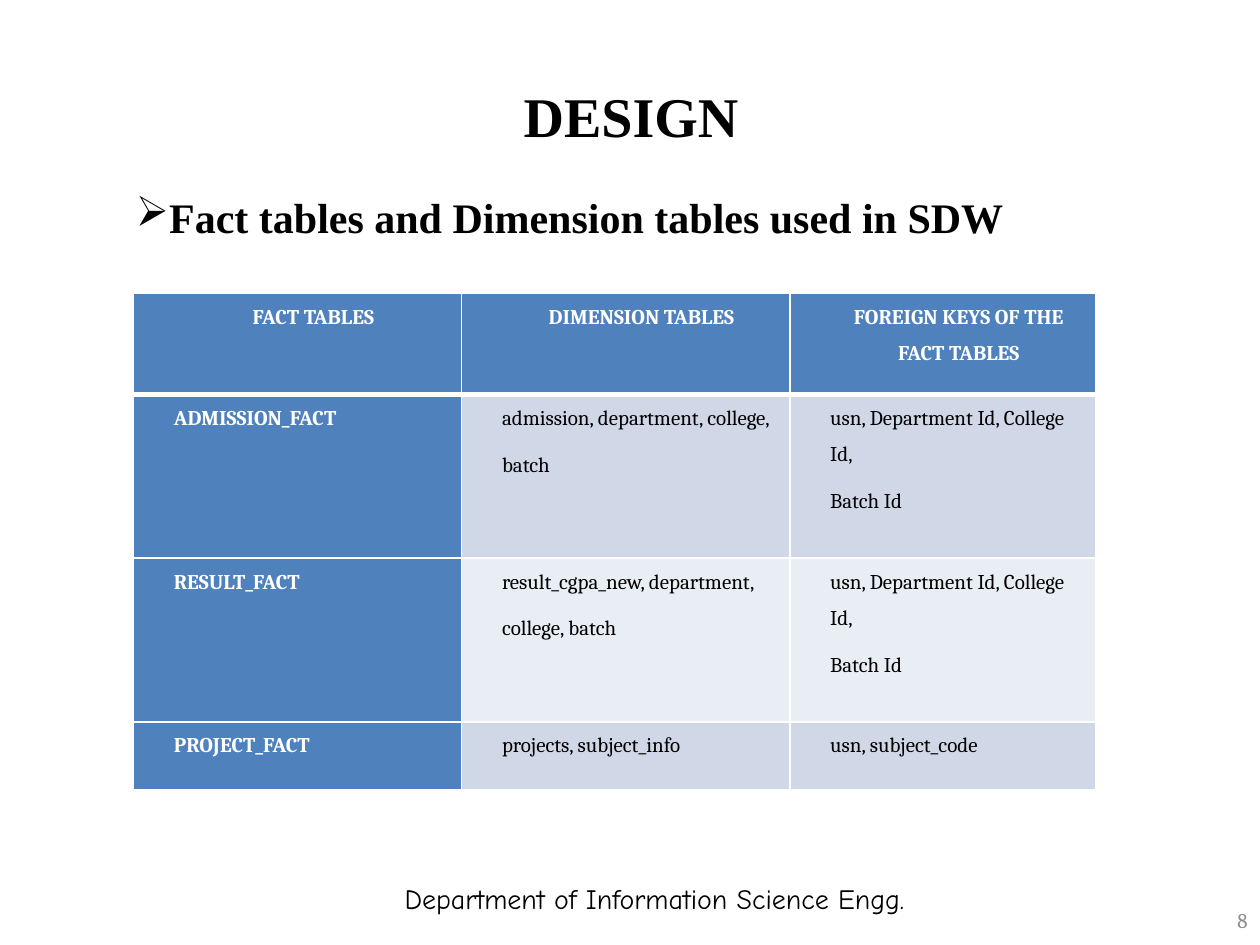
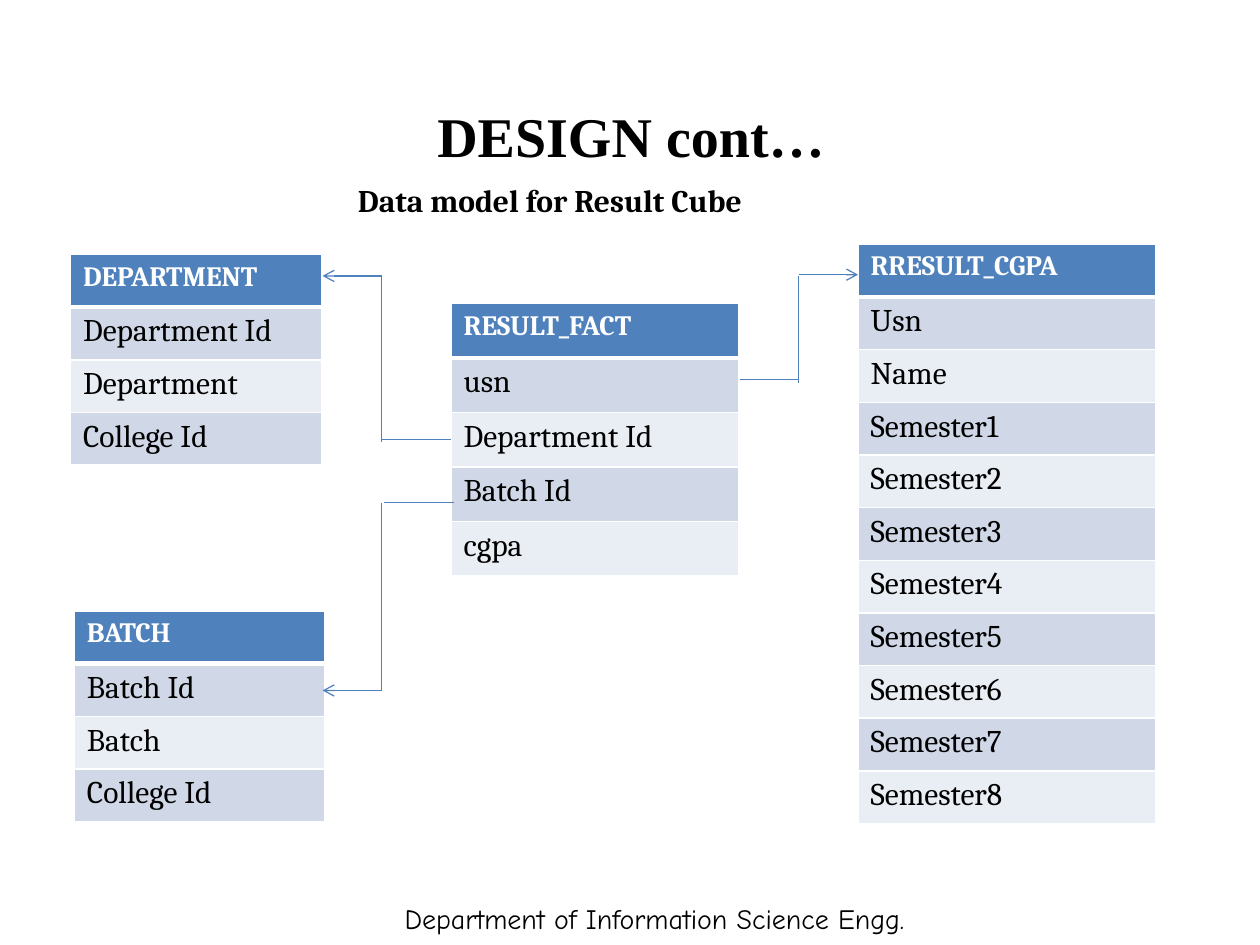
from pptx import Presentation
from pptx.dml.color import RGBColor
from pptx.enum.shapes import MSO_CONNECTOR
from pptx.enum.text import MSO_ANCHOR, PP_ALIGN
from pptx.oxml.ns import qn
from pptx.util import Inches, Pt
from lxml.etree import SubElement, Element


def rgb(value):
    return RGBColor.from_string(value)


class Deck:
    COLS, ROWS = 100, 75
    BLACK, WHITE, GREY = "000000", "FFFFFF", "8C8C8C"
    BLUE, BANDS = "4F81BD", ("D0D8E8", "E9EDF4")
    SERIF, BODY, HAND = "Times New Roman", "Cambria", "Comic Neue"

    def __init__(self):
        self.prs = Presentation()
        self.prs.slide_width, self.prs.slide_height = Inches(10), Inches(7.5)
        self.s = None

    def x(self, cols):
        return round(self.prs.slide_width * cols / self.COLS)

    def y(self, rows):
        return round(self.prs.slide_height * rows / self.ROWS)

    def slide(self, title, title_row, footer_row):
        self.s = self.prs.slides.add_slide(self.prs.slide_layouts[6])
        self.text(title, (5.1, title_row, 90, 10), 32, self.SERIF, bold=True)
        self.text("Department of Information Science Engg.",
                  (28.7, footer_row, 46.5, 4), 16, self.HAND)

    def run(self, p, text, size, font, color, bold):
        r = p.add_run()
        r.text = text
        r.font.size, r.font.name, r.font.bold = Pt(size), font, bold
        r.font.color.rgb = rgb(color)

    def text(self, text, box, size, font, color=BLACK, bold=False,
             align=PP_ALIGN.CENTER, anchor=MSO_ANCHOR.TOP, wrap=True, bullet=None):
        left, top, width, height = box
        sp = self.s.shapes.add_textbox(self.x(left), self.y(top), self.x(width), self.y(height))
        tf = sp.text_frame
        tf.word_wrap, tf.vertical_anchor = wrap, anchor
        p = tf.paragraphs[0]
        p.alignment = align
        if bullet:
            SubElement(p._p.get_or_add_pPr(), qn("a:buChar"), char=bullet)
        self.run(p, text, size, font, color, bold)

    def border(self, cell, row):
        widths = {"lnL": 1, "lnR": 1, "lnT": 3 if row == 1 else 1, "lnB": 3 if row == 0 else 1}
        for i, (side, width) in enumerate(widths.items()):
            ln = Element(qn("a:" + side), w=str(Pt(width)))
            fill = SubElement(ln, qn("a:solidFill"))
            SubElement(fill, qn("a:srgbClr"), val=self.WHITE)
            cell._tc.get_or_add_tcPr().insert(i, ln)

    def table(self, left, top, widths, heights, rows, sizes, spaced=False):
        tbl = self.s.shapes.add_table(len(rows), len(widths), self.x(left), self.y(top),
                                      self.x(sum(widths)), self.y(sum(heights))).table
        for col, width in zip(tbl.columns, widths):
            col.width = self.x(width)
        for i, (row, height) in enumerate(zip(rows, heights)):
            tbl.rows[i].height = self.y(height)
            for j, text in enumerate(row):
                cell = tbl.cell(i, j)
                head = i == 0 or (spaced and j == 0)
                cell.fill.solid()
                cell.fill.fore_color.rgb = rgb(self.BLUE if head else self.BANDS[(i - 1) % 2])
                self.border(cell, i)
                if spaced:
                    cell.margin_left = cell.margin_right = self.x(0.7)
                    cell.margin_top = cell.margin_bottom = 0
                for k, line in enumerate(text.split("\n")):
                    tf = cell.text_frame
                    p = tf.add_paragraph() if k else tf.paragraphs[0]
                    if spaced:
                        p.line_spacing, p.space_after = 1.5, Pt(6)
                        p.alignment = PP_ALIGN.LEFT if i else PP_ALIGN.CENTER
                        p._p.get_or_add_pPr().set("marL", str(self.x(2.5)))
                    self.run(p, line, sizes[min(i, 1)], self.BODY,
                             self.WHITE if head else self.BLACK, head)

    def entity(self, left, top, width, row_height, names):
        self.table(left, top, [width], [row_height] * len(names),
                   [[name] for name in names], (16, 18))

    def line(self, x1, y1, x2, y2, arrow=False):
        c = self.s.shapes.add_connector(MSO_CONNECTOR.STRAIGHT, self.x(x1), self.y(y1),
                                        self.x(x2), self.y(y2))
        c.line.color.rgb, c.line.width = rgb(self.BLUE), Pt(0.75)
        if arrow:
            SubElement(c.line._get_or_add_ln(), qn("a:tailEnd"), type="arrow")
        SubElement(c._element.spPr, qn("a:effectLst"))


d = Deck()

d.slide("DESIGN", 6, 69.5)
d.text("8", (76.7, 71, 23.3, 4), 12, d.BODY, d.GREY,
       align=PP_ALIGN.RIGHT, anchor=MSO_ANCHOR.MIDDLE)
d.text("Fact tables and Dimension tables used in SDW", (9.8, 14.7, 74, 5), 24, d.SERIF,
       bold=True, align=PP_ALIGN.LEFT, bullet="➢")
d.table(10.6, 23.3, [26.05, 26.05, 24.3], [8, 13, 13, 5.4], [
    ["FACT TABLES", "DIMENSION TABLES", "FOREIGN KEYS OF THE FACT TABLES"],
    ["ADMISSION_FACT", "admission, department, college,\nbatch",
     "usn, Department Id, College Id,\nBatch Id"],
    ["RESULT_FACT", "result_cgpa_new, department,\ncollege, batch",
     "usn, Department Id, College Id,\nBatch Id"],
    ["PROJECT_FACT", "projects, subject_info", "usn, subject_code"],
], (12, 12), spaced=True)

d.slide("DESIGN cont…", 7.6, 71.1)
d.entity(5.6, 20.2, 19.9, 4.18, ["DEPARTMENT", "Department Id", "Department", "College Id"])
d.entity(68.1, 19.4, 23.6, 4.18,
         ["RRESULT_CGPA", "Usn", "Name"] + [f"Semester{n}" for n in range(1, 9)])
d.entity(5.9, 48.5, 19.9, 4.18, ["BATCH", "Batch Id", "Batch", "College Id"])
d.entity(35.8, 24.1, 22.8, 4.33, ["RESULT_FACT", "usn", "Department Id", "Batch Id", "cgpa"])
for start_x, y, end_x in [(63.4, 21.8, 68.1), (30.3, 54.8, 25.6), (30.3, 21.9, 25.6)]:
    d.line(start_x, y, end_x, y, arrow=True)
for x, start_y, end_y in [(30.3, 21.9, 35.1), (30.3, 39.9, 54.8), (63.4, 21.9, 30.4)]:
    d.line(x, start_y, x, end_y)
for start_x, y, end_x in [(63.4, 30.1, 58.7), (35.8, 34.9, 30.3), (36, 39.9, 30.5)]:
    d.line(start_x, y, end_x, y)
d.text("Data model for Result Cube", (24.8, 13.9, 37.7, 4), 18, d.BODY, bold=True, wrap=False)

d.prs.save("out.pptx")
